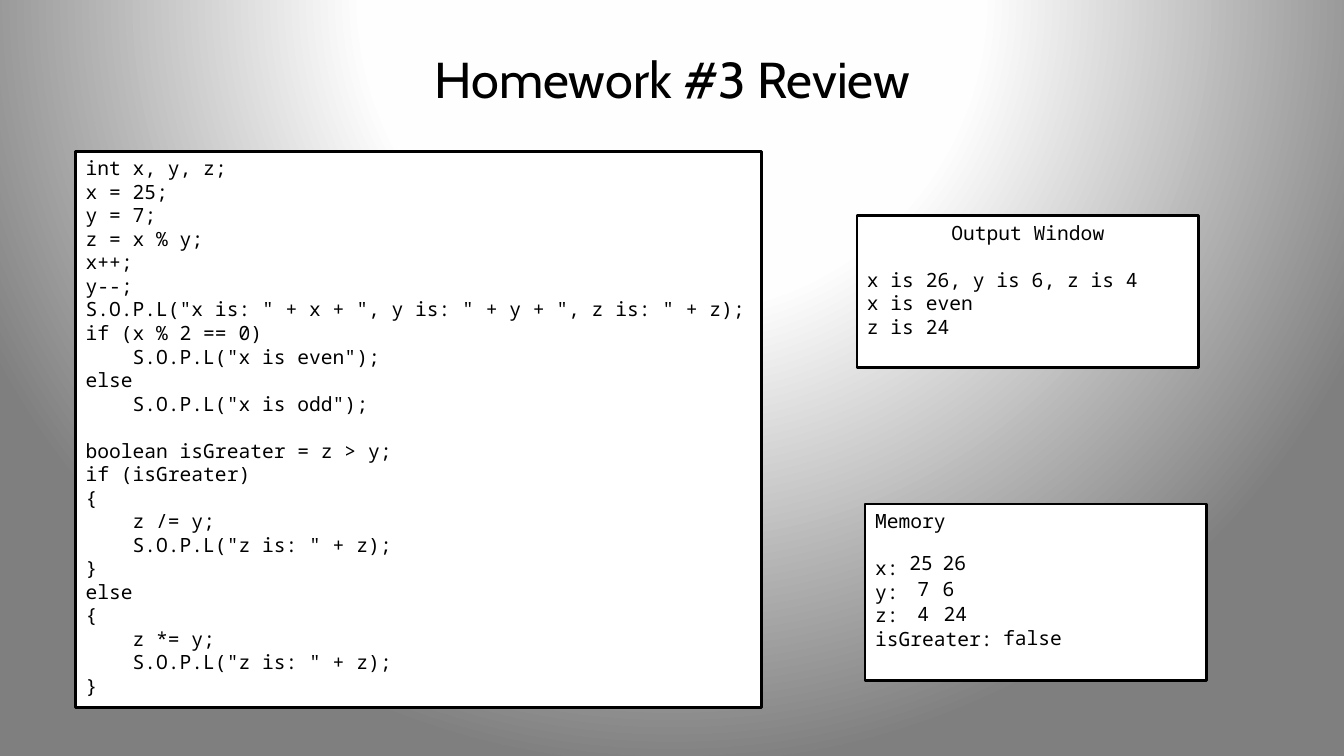
from dataclasses import dataclass

from lxml import etree
from pptx import Presentation
from pptx.dml.color import RGBColor
from pptx.enum import shapes, text
from pptx.oxml import ns
from pptx.util import Pt

PX = 9144  # EMU in one px, 100 px to the inch


@dataclass(frozen=True)
class Theme:
    ink: str = "000000"
    paper: str = "FFFFFF"
    glow: tuple = ((0, "FFFFFF"), (40, "FEFEFE"), (100, "7F7F7F"))
    head: str = "Cabin"
    mono: str = "Noto Sans Mono"
    large: int = 36
    small: int = 14
    gap: float = 16.8  # one line of small mono text
    edge: int = 2


THEME = Theme()

CODE = """int x, y, z;
x = 25;
y = 7;
z = x % y;
x++;
y--;
S.O.P.L("x is: " + x + ", y is: " + y + ", z is: " + z);
if (x % 2 == 0)
    S.O.P.L("x is even");
else
    S.O.P.L("x is odd");

boolean isGreater = z > y;
if (isGreater)
{
    z /= y;
    S.O.P.L("z is: " + z);
}
else
{
    z *= y;
    S.O.P.L("z is: " + z);
}"""
OUTPUT = """Output Window

x is 26, y is 6, z is 4
x is even
z is 24"""
MEMORY = """Memory

x:
y:
z:
isGreater:"""

# Old and new value of x, y and z, each with its left edge
VALUES = [
    [("25", 892), ("26", 925)],
    [("7", 900), ("6", 925)],
    [("4", 900), ("24", 926)],
]


def scale(*sizes):
    return [size * PX for size in sizes]


def style(par, font, size):
    for run in par.runs:
        run.font.name = font
        run.font.size = Pt(size)
        run.font.color.rgb = RGBColor.from_string(THEME.ink)


def fill_text(frame, words):
    """One paragraph a line; an empty line becomes space before the next."""
    lines = words.split("\n")
    par = None
    for num, line in enumerate(lines):
        if not line:
            continue
        par = frame.add_paragraph() if par is not None else frame.paragraphs[0]
        par.text = line
        par.alignment = text.PP_ALIGN.LEFT
        if num and not lines[num - 1]:
            par.space_before = Pt(THEME.gap)
        style(par, THEME.mono, THEME.small)


def backdrop(slide):
    fill = slide.background.fill
    fill.solid()
    solid = slide.background._cSld.find(".//" + ns.qn("a:solidFill"))
    grad = etree.Element(ns.qn("a:gradFill"), rotWithShape="1")
    stops = etree.SubElement(grad, ns.qn("a:gsLst"))
    for place, shade in THEME.glow:
        stop = etree.SubElement(stops, ns.qn("a:gs"), pos=str(place * 1000))
        etree.SubElement(stop, ns.qn("a:srgbClr"), val=shade)
    ring = etree.SubElement(grad, ns.qn("a:path"))
    ring.set("path", "circle")
    etree.SubElement(ring, ns.qn("a:fillToRect"),
                     l="50000", t="-80000", r="50000", b="180000")
    solid.getparent().replace(solid, grad)


def title(slide, words, *place):
    frame = slide.shapes.add_textbox(*scale(*place)).text_frame
    frame.word_wrap = True
    frame.vertical_anchor = text.MSO_ANCHOR.MIDDLE
    frame.text = words
    par = frame.paragraphs[0]
    par.alignment = text.PP_ALIGN.CENTER
    style(par, THEME.head, THEME.large)


def panel(slide, words, *place):
    box = slide.shapes.add_shape(shapes.MSO_SHAPE.RECTANGLE, *scale(*place))
    box.shadow.inherit = False
    box.fill.solid()
    box.fill.fore_color.rgb = RGBColor.from_string(THEME.paper)
    box.line.color.rgb = RGBColor.from_string(THEME.ink)
    box.line.width = Pt(THEME.edge)
    frame = box.text_frame
    frame.word_wrap = True
    frame.vertical_anchor = text.MSO_ANCHOR.TOP
    fill_text(frame, words)
    return frame


def value(slide, words, left, top):
    width = 20 + 12 * len(words)
    box = slide.shapes.add_textbox(*scale(left, top, width, 34))
    box.text_frame.word_wrap = False
    fill_text(box.text_frame, words)


def main():
    deck = Presentation()
    deck.slide_width, deck.slide_height = scale(1333, 750)
    slide = deck.slides.add_slide(deck.slide_layouts[6])
    backdrop(slide)
    title(slide, "Homework #3 Review", 67, 30, 1200, 95)

    # Program and what it prints
    panel(slide, CODE, 75, 150, 680, 552)
    output = panel(slide, OUTPUT, 850, 214, 339, 151)
    output.paragraphs[0].alignment = text.PP_ALIGN.CENTER

    # Memory with the values of each variable
    panel(slide, MEMORY, 858, 500, 339, 175)
    for num, row in enumerate(VALUES):
        for words, left in row:
            value(slide, words, left, 542 + 25 * num)
    value(slide, "false", 985, 616)

    deck.save("out.pptx")


if __name__ == "__main__":
    main()
